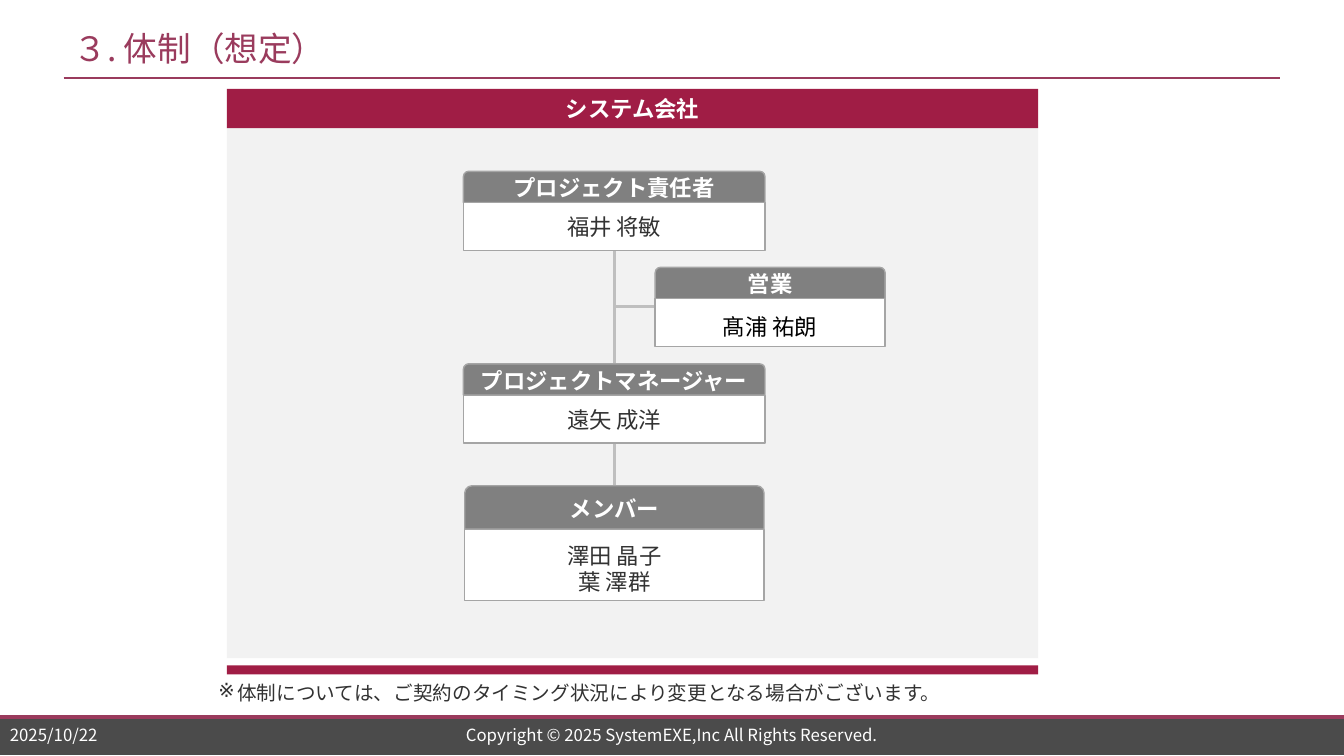
from dataclasses import dataclass

from lxml import etree
from pptx import Presentation
from pptx.dml.color import RGBColor
from pptx.enum.shapes import MSO_CONNECTOR, MSO_SHAPE
from pptx.enum.text import MSO_ANCHOR, PP_ALIGN
from pptx.oxml.ns import qn
from pptx.util import Pt

RECT = MSO_SHAPE.RECTANGLE
ROUND_TOP = MSO_SHAPE.ROUND_2_SAME_RECTANGLE
STRAIGHT = MSO_CONNECTOR.STRAIGHT
LEFT, CENTER = PP_ALIGN.LEFT, PP_ALIGN.CENTER
TOP, MIDDLE = MSO_ANCHOR.TOP, MSO_ANCHOR.MIDDLE

ARIAL, NOTO = "Arial", "Noto Sans CJK JP"
WHITE, DARK, BLACK = "FFFFFF", "333333", "000000"
WINE, ROSE, PALE = "A01D45", "9A3B5D", "F2F2F2"
HEADER_GREY, BORDER_GREY, LINK_GREY = "808080", "A5A5A5", "BFBFBF"
FOOTER_GREY = "4B4B4B"
DEFAULT_INSETS = (7.2, 3.6, 7.2, 3.6)
TIGHT_INSETS = (2.9, 3.6, 2.9, 3.6)
LOW_INSETS = (5.8, 8.6, 5.8, 3.6)


@dataclass
class Role:
    title: str
    names: list[str]
    left: float
    top: float
    width: float
    header_height: float = 22.4
    body_height: float = 34.2
    insets: tuple = TIGHT_INSETS
    color: str = DARK


@dataclass
class Rule:
    start: tuple
    end: tuple
    color: str
    width: float


def rgb(value: str) -> RGBColor:
    return RGBColor.from_string(value)


def write_text(shape, lines: list[str], *, size: float = 16, font: str = ARIAL,
               color: str = DARK, bold: bool = False, align=CENTER,
               anchor=MIDDLE, insets: tuple = DEFAULT_INSETS, bullet: str = "") -> None:
    frame = shape.text_frame
    frame.word_wrap = True
    frame.vertical_anchor = anchor
    (frame.margin_left, frame.margin_top,
     frame.margin_right, frame.margin_bottom) = map(Pt, insets)
    for index, line in enumerate(lines):
        para = frame.add_paragraph() if index else frame.paragraphs[0]
        para.alignment = align
        if bullet:
            properties = para._p.get_or_add_pPr()
            properties.set("marL", str(Pt(13.5)))
            properties.set("indent", str(Pt(-13.5)))
            etree.SubElement(properties, qn("a:buChar")).set("char", bullet)
        span = para.add_run()
        span.text = line
        span.font.size = Pt(size)
        span.font.bold = bold
        span.font.color.rgb = rgb(color)
        span.font.name = font
        # East Asian glyphs need their own typeface entry
        etree.SubElement(span._r.get_or_add_rPr(), qn("a:ea")).set("typeface", NOTO)


def add_block(slide, left: float, top: float, width: float, height: float,
              fill: str, border: str = "", kind=RECT):
    shape = slide.shapes.add_shape(kind, Pt(left), Pt(top), Pt(width), Pt(height))
    shape.shadow.inherit = False
    shape.fill.solid()
    shape.fill.fore_color.rgb = rgb(fill)
    if border:
        shape.line.color.rgb = rgb(border)
        shape.line.width = Pt(1)
    else:
        shape.line.fill.background()
    return shape


def add_label(slide, left: float, top: float, width: float, height: float,
              text: str, **style) -> None:
    box = slide.shapes.add_textbox(Pt(left), Pt(top), Pt(width), Pt(height))
    write_text(box, [text], font=NOTO, **style)


def add_rule(slide, rule: Rule) -> None:
    line = slide.shapes.add_connector(STRAIGHT, *map(Pt, rule.start + rule.end))
    line.line.color.rgb = rgb(rule.color)
    line.line.width = Pt(rule.width)
    etree.SubElement(line._element.spPr, qn("a:effectLst"))


def add_role(slide, role: Role) -> None:
    header = add_block(slide, role.left, role.top, role.width, role.header_height,
                       HEADER_GREY, BORDER_GREY, ROUND_TOP)
    write_text(header, [role.title], color=WHITE, bold=True, insets=TIGHT_INSETS)
    body = add_block(slide, role.left, role.top + role.header_height, role.width,
                     role.body_height, WHITE, BORDER_GREY)
    write_text(body, role.names, color=role.color, insets=role.insets)


PANEL_LEFT, PANEL_WIDTH = 162, 579.6
TRUNK_X = 438.7

FRAME_RULES = [
    Rule((0, 511.9), (960, 511.9), ROSE, 2.75),
    Rule((45.4, 55.8), (914.4, 55.8), ROSE, 1.5),
]
LINKS = [
    Rule((TRUNK_X, 179), (TRUNK_X, 260), LINK_GREY, 2.25),
    Rule((468, 218.7), (TRUNK_X, 218.7), LINK_GREY, 2.25),
    Rule((TRUNK_X, 316.3), (TRUNK_X, 347), LINK_GREY, 2.25),
]
ROLES = [
    Role("プロジェクト責任者", ["福井 将敏"], 331, 122.4, 215.4, color="323232"),
    Role("メンバー", ["澤田 晶子", "葉 澤群"], 332, 347, 213.8, 31, 51.1, LOW_INSETS),
    Role("プロジェクトマネージャー", ["遠矢 成洋"], 331, 259.9, 215.4),
    Role("営業", ["髙浦 祐朗"], 468, 191, 164.2, insets=LOW_INSETS, color=BLACK),
]


def main() -> None:
    deck = Presentation()
    deck.slide_width, deck.slide_height = Pt(960), Pt(540)
    slide = deck.slides.add_slide(deck.slide_layouts[6])

    # Page frame and title
    add_block(slide, 0, 511.2, 960, 28.1, FOOTER_GREY)
    for rule in FRAME_RULES:
        add_rule(slide, rule)
    add_label(slide, 45.4, 14.4, 869, 39.6, "３. 体制（想定）",
              size=24, color=ROSE, align=LEFT)

    # Company panel
    add_block(slide, PANEL_LEFT, 90.7, PANEL_WIDTH, 379.4, PALE)
    banner = add_block(slide, PANEL_LEFT, 63.4, PANEL_WIDTH, 28.1, WINE)
    write_text(banner, ["システム会社"], color=WHITE, bold=True)
    add_block(slide, PANEL_LEFT, 475.2, PANEL_WIDTH, 6.5, WINE)

    # Organisation chart
    for link in LINKS:
        add_rule(slide, link)
    for role in ROLES:
        add_role(slide, role)

    # Note and footer
    add_label(slide, 149, 483.1, 561.6, 31.7,
              "体制については、ご契約のタイミング状況により変更となる場合がございます。",
              size=14, color="323232", align=LEFT, anchor=TOP, bullet="※")
    add_label(slide, 0, 516.2, 113, 17.3, "2025/10/22",
              size=12, color=WHITE, align=LEFT)
    add_label(slide, 239, 516.2, 481.7, 17.3,
              "Copyright © 2025 SystemEXE,Inc All Rights Reserved.",
              size=12, color=WHITE)

    deck.save("out.pptx")


if __name__ == "__main__":
    main()
